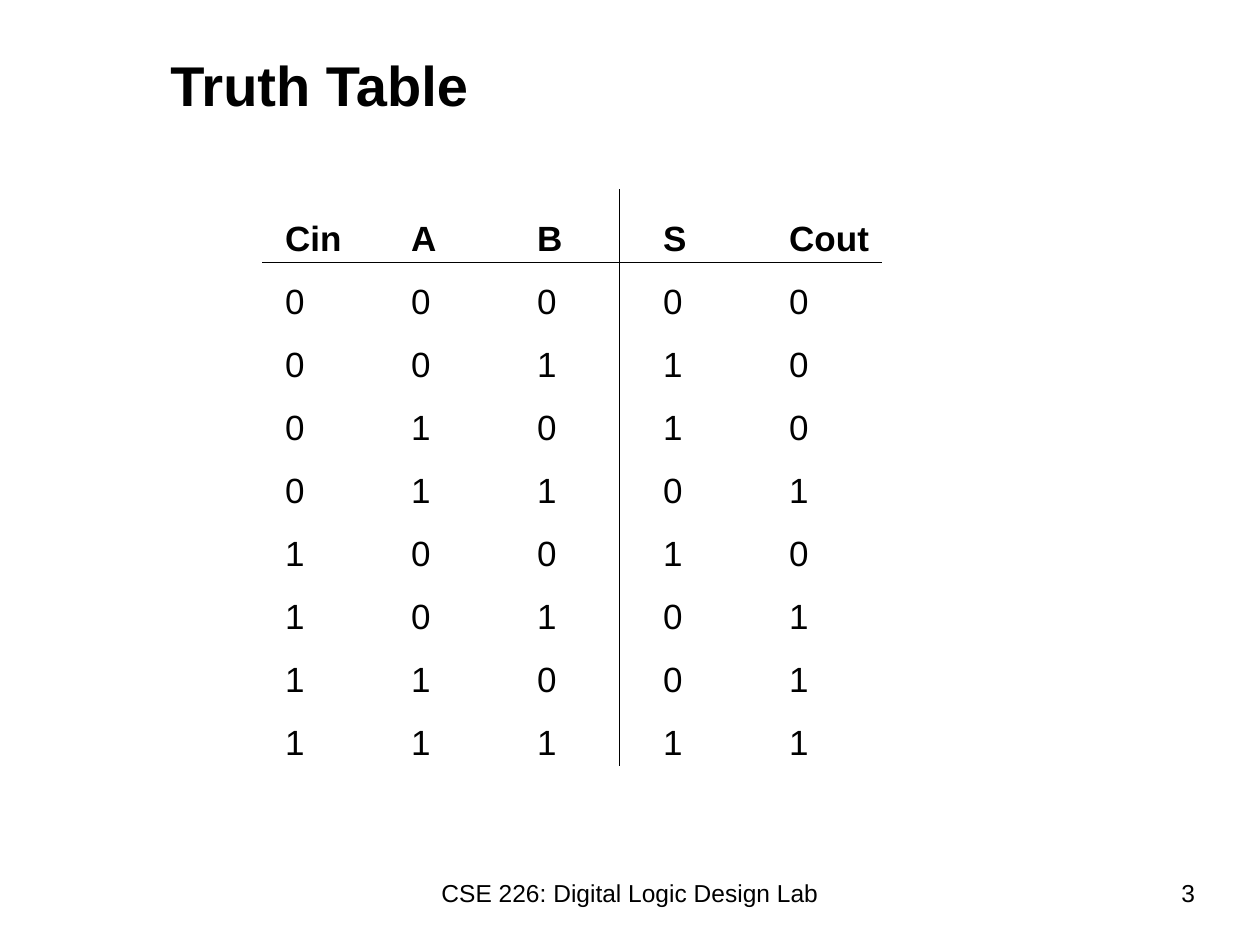
from dataclasses import dataclass
from itertools import product
from lxml import etree
from pptx import Presentation
from pptx.dml.color import RGBColor
from pptx.enum import shapes, text
from pptx.oxml import ns
from pptx.util import Cm, Pt


@dataclass(frozen=True)
class Theme:
    font: str = "Arial"
    ink: RGBColor = RGBColor(0, 0, 0)
    title: int = 32
    table: int = 20
    foot: int = 14
    pitch: int = 36
    rule: float = 0.75
    tab: float = 2.54


@dataclass(frozen=True)
class Box:
    left: float
    top: float
    width: float
    height: float

    def spans(self) -> list:
        return [Cm(n) for n in (self.left, self.top, self.width, self.height)]


@dataclass(frozen=True)
class Note:
    words: str
    box: Box
    align: text.PP_ALIGN


@dataclass(frozen=True)
class Rule:
    x1: float
    y1: float
    x2: float
    y2: float


THEME = Theme()
HEADS = ("Cin", "A", "B", "S", "Cout")
TITLE = Box(3.18, 0.84, 20.37, 1.7)
TABLE = Box(5.5, 3.81, 13.97, 11.68)
NOTES = (
    Note("CSE 226: Digital Logic Design Lab", Box(7.62, 17.58, 10.16, 1.32), text.PP_ALIGN.CENTER),
    Note("3", Box(18.42, 17.58, 5.92, 1.32), text.PP_ALIGN.RIGHT),
)
RULES = (Rule(12.49, 3.81, 12.49, 15.45), Rule(5.29, 5.29, 17.78, 5.29))


def add_run(para, words: str, size: int, bold: bool = False) -> None:
    run = para.add_run()
    run.text = words
    font = run.font
    font.name, font.size, font.bold = THEME.font, Pt(size), bold
    font.color.rgb = THEME.ink


def add_box(slide, box: Box):
    frame = slide.shapes.add_textbox(*box.spans()).text_frame
    frame.word_wrap = True
    return frame


def set_tabs(para, count: int) -> None:
    stops = etree.SubElement(para._p.get_or_add_pPr(), ns.qn("a:tabLst"))
    for step in range(1, count + 1):
        etree.SubElement(stops, ns.qn("a:tab"), pos=str(int(Cm(THEME.tab * step))), algn="l")


def draw_title(slide) -> None:
    shape = slide.shapes.title
    shape.left, shape.top, shape.width, shape.height = TITLE.spans()
    frame = shape.text_frame
    frame.auto_size = text.MSO_AUTO_SIZE.NONE
    frame.vertical_anchor = text.MSO_ANCHOR.MIDDLE
    para = frame.paragraphs[0]
    para.alignment = text.PP_ALIGN.LEFT
    add_run(para, "Truth Table", THEME.title, True)


def draw_note(slide, note: Note) -> None:
    para = add_box(slide, note.box).paragraphs[0]
    para.alignment = note.align
    add_run(para, note.words, THEME.foot)


def add_bits(cin: int, a: int, b: int) -> tuple:
    total = cin + a + b
    return cin, a, b, total % 2, total // 2


def draw_table(slide) -> None:
    frame = add_box(slide, TABLE)
    rows = [HEADS] + [add_bits(*bits) for bits in product((0, 1), repeat=3)]
    for index, row in enumerate(rows):
        para = frame.add_paragraph() if index else frame.paragraphs[0]
        para.line_spacing = Pt(THEME.pitch)
        set_tabs(para, len(HEADS) - 1)
        add_run(para, "\t".join(map(str, row)), THEME.table, index == 0)


def draw_rule(slide, rule: Rule) -> None:
    ends = [Cm(n) for n in (rule.x1, rule.y1, rule.x2, rule.y2)]
    line = slide.shapes.add_connector(shapes.MSO_CONNECTOR.STRAIGHT, *ends)
    line.line.color.rgb = THEME.ink
    line.line.width = Pt(THEME.rule)
    etree.SubElement(line._element.spPr, ns.qn("a:effectLst"))


def main() -> None:
    deck = Presentation()
    deck.slide_width, deck.slide_height = Cm(25.4), Cm(19.05)
    slide = deck.slides.add_slide(deck.slide_layouts.get_by_name("Title Only"))
    draw_title(slide)
    for note in NOTES:
        draw_note(slide, note)
    draw_table(slide)
    for rule in RULES:
        draw_rule(slide, rule)
    deck.save("out.pptx")


if __name__ == "__main__":
    main()
